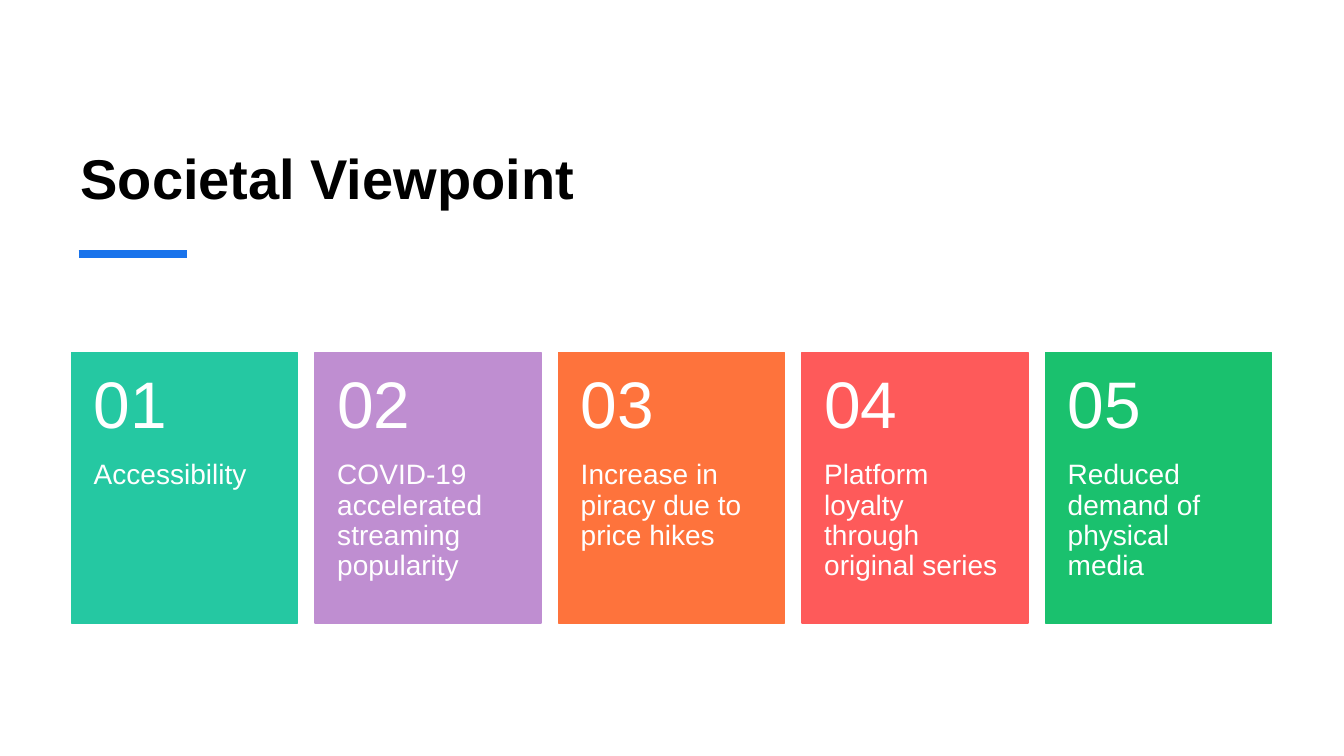
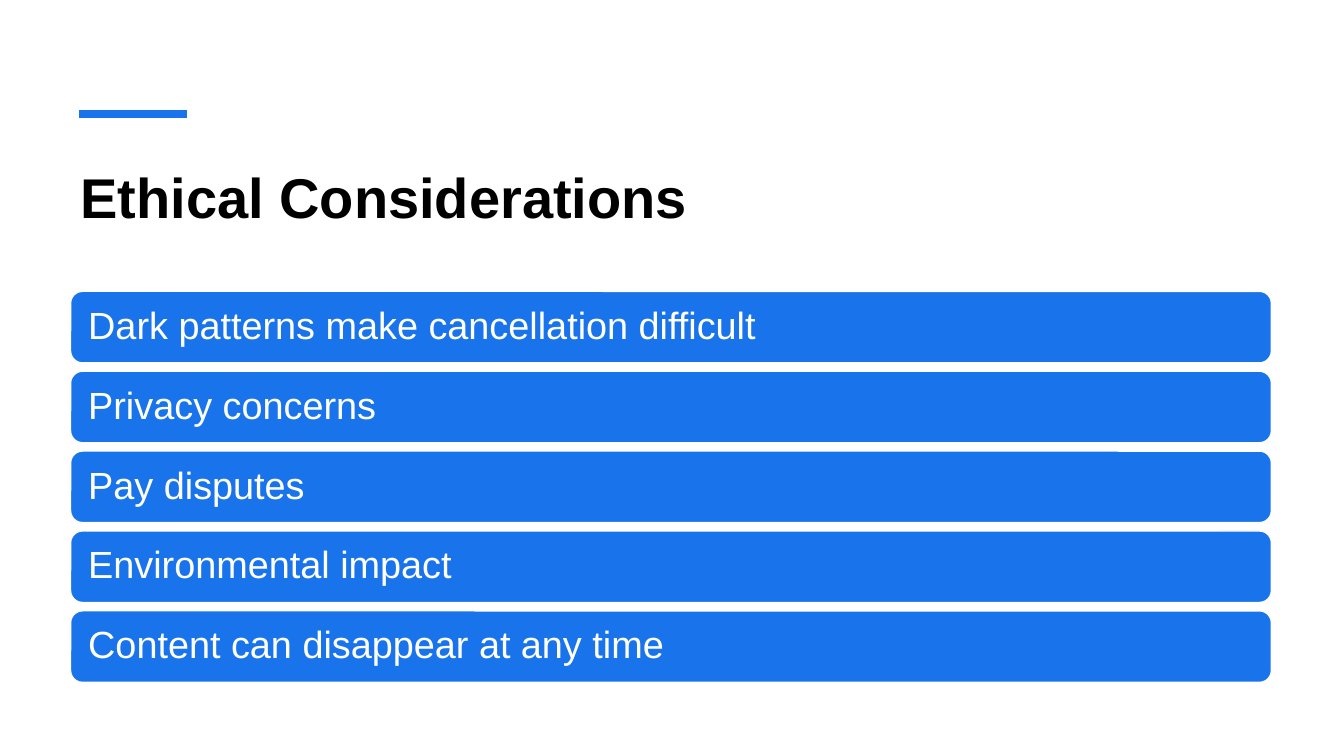
"""Build two slides: numbered societal cards and a list of ethical considerations."""
from dataclasses import dataclass

from lxml.etree import SubElement
from pptx import Presentation
from pptx.dml.color import RGBColor
from pptx.enum.shapes import MSO_CONNECTOR as Connector, MSO_SHAPE as Shape
from pptx.enum.text import MSO_ANCHOR as Anchor, MSO_AUTO_SIZE as AutoSize, PP_ALIGN as Align
from pptx.oxml.ns import qn
from pptx.presentation import Presentation as Deck
from pptx.shapes.autoshape import Shape as Box
from pptx.slide import Slide
from pptx.text.text import TextFrame
from pptx.util import Inches, Pt

BLACK = RGBColor(0x00, 0x00, 0x00)
WHITE = RGBColor(0xFF, 0xFF, 0xFF)
BLUE = RGBColor(0x19, 0x73, 0xEB)
TEAL = RGBColor(0x25, 0xC8, 0xA2)
PURPLE = RGBColor(0xBF, 0x8E, 0xD1)
ORANGE = RGBColor(0xFE, 0x73, 0x3C)
CORAL = RGBColor(0xFE, 0x5A, 0x5A)
GREEN = RGBColor(0x1A, 0xC1, 0x6E)

FONT = "Arial"
TITLE_ONLY = 5
LEFT, WIDTH = 0.7, 11.91
ACCENT_LEFT, ACCENT_WIDTH = 0.78, 1.07


@dataclass(frozen=True)
class Area:
    left: float
    top: float
    width: float
    height: float

    def inches(self) -> tuple[Inches, Inches, Inches, Inches]:
        return Inches(self.left), Inches(self.top), Inches(self.width), Inches(self.height)


@dataclass(frozen=True)
class TextStyle:
    size: float
    color: RGBColor = WHITE
    bold: bool = False
    anchor: Anchor = Anchor.MIDDLE
    insets: tuple[float, float, float, float] = (0.1, 0.05, 0.1, 0.05)
    spacing: float = 0.9


@dataclass(frozen=True)
class Card:
    text: str
    color: RGBColor


TITLE_LOW = TextStyle(40, BLACK, True, Anchor.BOTTOM, spacing=1.0)
TITLE_HIGH = TextStyle(40, BLACK, True, Anchor.TOP, spacing=1.0)
NUMBER = TextStyle(47, insets=(0.22, 0.18, 0.22, 0.18))
CAPTION = TextStyle(20, anchor=Anchor.TOP, insets=(0.22, 0, 0.22, 0.36))
ROW = TextStyle(27, insets=(0.14, 0.11, 0.14, 0.11))

CARDS = [
    Card("Accessibility", TEAL),
    Card("COVID-19 accelerated streaming popularity", PURPLE),
    Card("Increase in piracy due to price hikes", ORANGE),
    Card("Platform loyalty through original series", CORAL),
    Card("Reduced demand of physical media", GREEN),
]
CONCERNS = [
    "Dark patterns make cancellation difficult",
    "Privacy concerns",
    "Pay disputes",
    "Environmental impact",
    "Content can disappear at any time",
]


def split(start: float, length: float, count: int, size: float) -> list[float]:
    """Return the starts of equal items spread evenly over a length."""
    pitch = (length - size) / (count - 1)
    return [start + index * pitch for index in range(count)]


def write(frame: TextFrame, text: str, style: TextStyle) -> None:
    """Fill a text frame with one styled paragraph."""
    frame.word_wrap = True
    frame.auto_size = AutoSize.NONE
    frame.vertical_anchor = style.anchor
    (frame.margin_left, frame.margin_top,
     frame.margin_right, frame.margin_bottom) = map(Inches, style.insets)
    para = frame.paragraphs[0]
    para.text = text
    para.alignment = Align.LEFT
    para.line_spacing = style.spacing
    para.font.name = FONT
    para.font.size = Pt(style.size)
    para.font.bold = style.bold
    para.font.color.rgb = style.color


def add_label(page: Slide, area: Area, text: str, style: TextStyle) -> None:
    """Add a text box."""
    write(page.shapes.add_textbox(*area.inches()).text_frame, text, style)


def add_panel(page: Slide, kind: Shape, area: Area, fill: RGBColor, line: RGBColor) -> Box:
    """Add a flat filled shape."""
    panel = page.shapes.add_shape(kind, *area.inches())
    panel.shadow.inherit = False
    panel.fill.solid()
    panel.fill.fore_color.rgb = fill
    panel.line.color.rgb = line
    panel.line.width = Pt(1)
    return panel


def add_page(deck: Deck, title: str, area: Area, style: TextStyle, accent_top: float) -> Slide:
    """Add a slide with its title and accent line."""
    page = deck.slides.add_slide(deck.slide_layouts[TITLE_ONLY])
    heading = page.shapes.title
    heading.left, heading.top, heading.width, heading.height = area.inches()
    write(heading.text_frame, title, style)
    accent = page.shapes.add_connector(
        Connector.STRAIGHT, Inches(ACCENT_LEFT), Inches(accent_top),
        Inches(ACCENT_LEFT + ACCENT_WIDTH), Inches(accent_top))
    accent.line.color.rgb = BLUE
    accent.line.width = Pt(6)
    SubElement(accent._element.spPr, qn("a:effectLst"))
    return page


def add_cards(page: Slide, cards: list[Card]) -> None:
    """Draw numbered cards in equal columns."""
    top, width, height, head = 3.5, 2.24, 2.68, 1.07
    lefts = split(LEFT + 0.01, WIDTH - 0.01, len(cards), width)
    for number, (left, card) in enumerate(zip(lefts, cards), 1):
        add_panel(page, Shape.RECTANGLE, Area(left, top, width, height), card.color, card.color)
        add_label(page, Area(left, top + head, width, height - head), card.text, CAPTION)
        add_label(page, Area(left, top, width, head), f"{number:02}", NUMBER)


def add_rows(page: Slide, texts: list[str]) -> None:
    """Draw rounded bars in equal rows."""
    height = 0.71
    for top, text in zip(split(2.89, 3.88, len(texts), height), texts):
        bar = add_panel(page, Shape.ROUNDED_RECTANGLE, Area(LEFT, top, WIDTH, height), BLUE, WHITE)
        write(bar.text_frame, text, ROW)


def main() -> None:
    """Build and save the deck."""
    deck = Presentation()
    deck.slide_width, deck.slide_height = Inches(13.33), Inches(7.5)
    societal = add_page(deck, "Societal Viewpoint", Area(LEFT, 0.62, WIDTH, 1.52), TITLE_LOW, 2.52)
    add_cards(societal, CARDS)
    ethical = add_page(
        deck, "Ethical Considerations", Area(LEFT, 1.56, WIDTH, 1.2), TITLE_HIGH, 1.13)
    add_rows(ethical, CONCERNS)
    deck.save("out.pptx")


if __name__ == "__main__":
    main()
